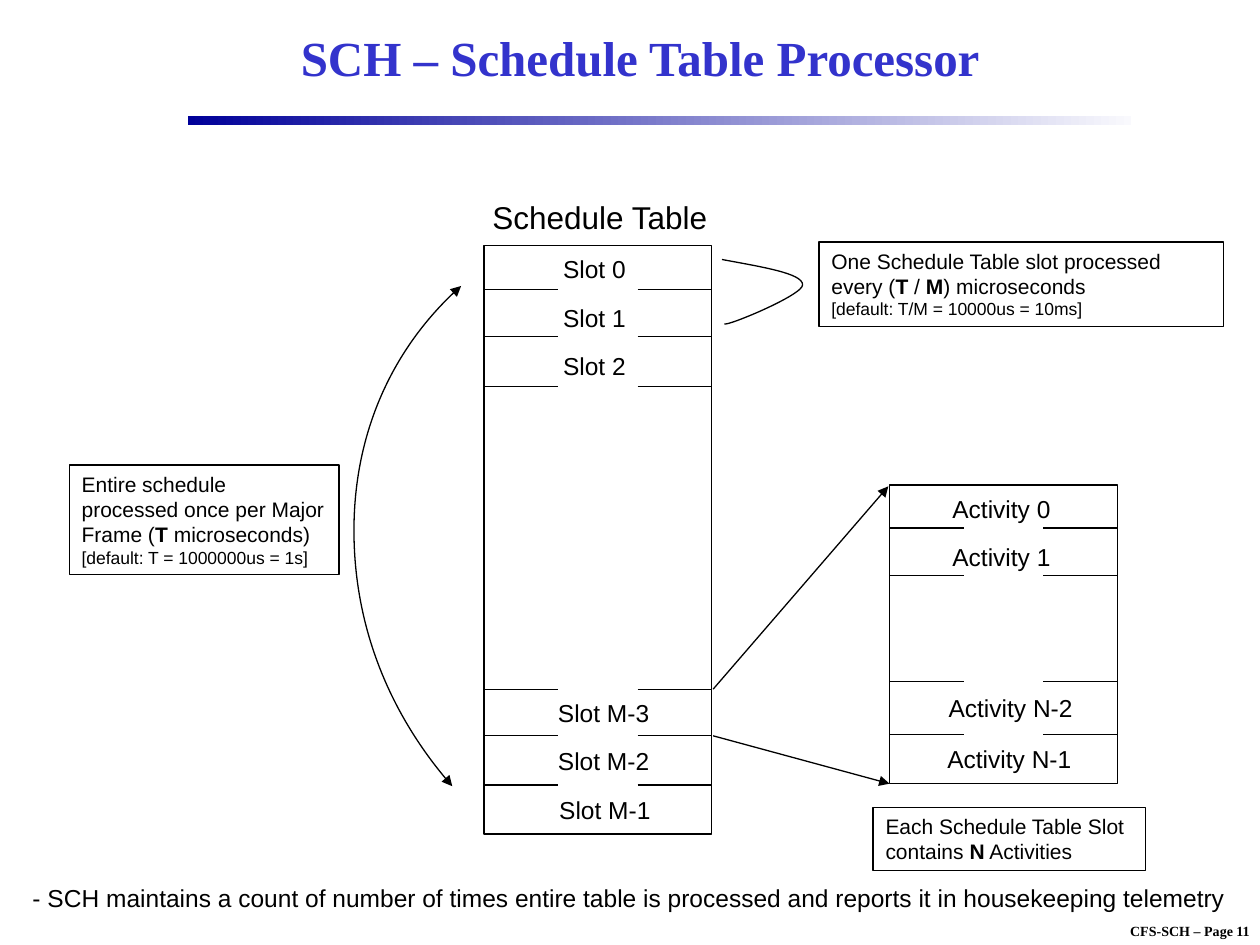
"""Build the SCH schedule table slide."""
from lxml import etree
from pptx import Presentation
from pptx.dml.color import RGBColor
from pptx.enum.shapes import MSO_CONNECTOR, MSO_SHAPE
from pptx.enum.text import MSO_ANCHOR, MSO_AUTO_SIZE, PP_ALIGN
from pptx.oxml.ns import qn
from pptx.util import Inches, Pt

RECTANGLE, STRAIGHT = MSO_SHAPE.RECTANGLE, MSO_CONNECTOR.STRAIGHT
TOP, MIDDLE = MSO_ANCHOR.TOP, MSO_ANCHOR.MIDDLE
LEFT, CENTER = PP_ALIGN.LEFT, PP_ALIGN.CENTER
GROW = MSO_AUTO_SIZE.SHAPE_TO_FIT_TEXT

BLACK, TITLE_BLUE = "000000", "3333CC"
RULE_COLOURS = "000099", "F9F9FD"
SANS, SERIF = "Arial", "Times New Roman"
TABLE_WIDTH, TICK, LABEL_HEIGHT = 1.81, 0.59, 0.34

TITLE = "SCH – Schedule Table Processor"
FOOTER = "CFS-SCH – Page 11"
HEADING = "Schedule Table"
SUMMARY = ("- SCH maintains a count of number of times entire table is processed "
           "and reports it in housekeeping telemetry")

TABLES = [
    {"left": 3.84, "top": 1.95, "height": 4.67,
     "dividers": [2.3, 2.67, 3.07, 5.47, 5.84, 6.23],
     "labels": [("Slot 0", 4.37, 1.97, 0.75), ("Slot 1", 4.37, 2.36, 0.75),
                ("Slot 2", 4.37, 2.74, 0.75), ("Slot M-3", 4.33, 5.49, 1),
                ("Slot M-2", 4.33, 5.87, 1), ("Slot M-1", 4.34, 6.26, 1)]},
    {"left": 7.06, "top": 3.85, "height": 2.37,
     "dividers": [4.19, 4.57, 5.41, 5.83],
     "labels": [("Activity 0", 7.46, 3.87, 1.05), ("Activity 1", 7.46, 4.25, 1.05),
                ("Activity N-2", 7.43, 5.45, 1.25), ("Activity N-1", 7.42, 5.86, 1.25)]},
]

NOTES = [
    ((0.55, 3.69, 2.14, 0.87), True,
     [(12, ["Entire schedule processed once per Major Frame (", "T", " microseconds)"]),
      (10, ["[default: T = 1000000us = 1s]"])]),
    ((6.5, 1.92, 3.21, 0.67), True,
     [(12, ["One Schedule Table slot processed every (", "T", " / ", "M", ") microseconds"]),
      (10, ["[default: T/M = 10000us = 10ms]"])]),
    ((6.93, 6.41, 2.16, 0.5), False,
     [(12, ["Each Schedule Table Slot"]), (12, ["contains ", "N", " Activities"])]),
]

FRAME_ARC = [(3.59, 6.24), (3.08, 5.66), (2.8, 4.92), (2.81, 4.17),
             (2.82, 3.43), (3.13, 2.74), (3.66, 2.27)]
SLOT_ARC = [(5.73, 2.06), (6.05, 2.12), (6.37, 2.17), (6.37, 2.26),
            (6.38, 2.34), (5.75, 2.6), (5.75, 2.57)]
SLOT_TO_ACTIVITIES = [((5.66, 5.47), (7.05, 3.86)), ((5.66, 5.84), (7.06, 6.22))]


def colour(value):
    return RGBColor.from_string(value)


def inches(*values):
    return [Inches(value) for value in values]


def outline(shape, arrows=()):
    shape.line.color.rgb = colour(BLACK)
    shape.line.width = Pt(0.75)
    for end in arrows:
        etree.SubElement(shape.line._get_or_add_ln(), qn(f"a:{end}"), type="triangle")


def add_line(shapes, start, end, arrows=()):
    line = shapes.add_connector(STRAIGHT, *inches(*start, *end))
    outline(line, arrows)
    etree.SubElement(line._element.spPr, qn("a:effectLst"))


def add_frame(shapes, *place):
    frame = shapes.add_shape(RECTANGLE, *inches(*place))
    frame.shadow.inherit = False
    frame.fill.background()
    outline(frame)
    return frame


def write(box, paragraphs, font=SANS, ink=BLACK, bold=False, align=LEFT, anchor=TOP, wrap=False):
    """Fill a box with (size, runs) paragraphs; every second run is bold."""
    text = box.text_frame
    text.word_wrap, text.auto_size, text.vertical_anchor = wrap, GROW, anchor
    for index, (size, runs) in enumerate(paragraphs):
        para = text.add_paragraph() if index else text.paragraphs[0]
        para.alignment = align
        para.font.name, para.font.size, para.font.bold = font, Pt(size), bold
        para.font.color.rgb = colour(ink)
        for position, words in enumerate(runs):
            span = para.add_run()
            span.text = words
            if position % 2:
                span.font.bold = True


def add_label(shapes, words, place, size, **style):
    write(shapes.add_textbox(*inches(*place)), [(size, [words])], **style)


def add_table_diagram(page, table):
    shapes = page.shapes.add_group_shape().shapes
    left, right = table["left"], table["left"] + TABLE_WIDTH
    add_frame(shapes, left, table["top"], TABLE_WIDTH, table["height"])
    for y in table["dividers"]:
        add_line(shapes, (left, y), (left + TICK, y))
        add_line(shapes, (right - TICK, y), (right, y))
    for words, x, y, width in table["labels"]:
        add_label(shapes, words, (x, y, width, LABEL_HEIGHT), 14, wrap=True)


def add_curve(page, points, arrows=()):
    """Draw a Bezier path whose control points come in threes after the start."""
    start, *controls = [inches(*point) for point in points]
    builder = page.shapes.build_freeform(*start)
    builder.add_line_segments(controls, close=False)
    curve = builder.convert_to_shape()
    segments = list(curve._element.iter(qn("a:lnTo")))
    for first in range(0, len(segments), 3):
        bezier = etree.SubElement(segments[first].getparent(), qn("a:cubicBezTo"))
        for segment in segments[first:first + 3]:
            bezier.append(segment[0])
            segment.getparent().remove(segment)
    curve.shadow.inherit = False
    curve.fill.background()
    outline(curve, arrows)


def add_rule(page):
    rule = page.shapes.add_shape(RECTANGLE, *inches(1.49, 0.92, 7.49, 0.07))
    rule.shadow.inherit = False
    rule.line.fill.background()
    rule.fill.gradient()
    rule.fill.gradient_angle = 0
    for position, (stop, value) in enumerate(zip(rule.fill.gradient_stops, RULE_COLOURS)):
        stop.position = position
        stop.color.rgb = colour(value)


def main():
    deck = Presentation()
    deck.slide_width, deck.slide_height = inches(10, 7.5)
    page = deck.slides.add_slide(deck.slide_layouts[6])
    shapes = page.shapes
    add_label(shapes, FOOTER, (8.67, 7.27, 1.55, 0.23), 8, font=SERIF, bold=True, align=CENTER)
    add_rule(page)
    add_label(shapes, TITLE, (1.54, 0.08, 7.08, 0.75), 28, font=SERIF, ink=TITLE_BLUE,
              bold=True, align=CENTER, anchor=MIDDLE, wrap=True)
    add_label(shapes, HEADING, (3.81, 1.52, 1.94, 0.4), 18)
    for table in TABLES:
        add_table_diagram(page, table)
    for place, wrap, paragraphs in NOTES:
        write(add_frame(shapes, *place), paragraphs, wrap=wrap)
    add_curve(page, FRAME_ARC, ("headEnd", "tailEnd"))
    add_curve(page, SLOT_ARC)
    for start, end in SLOT_TO_ACTIVITIES:
        add_line(shapes, start, end, ("tailEnd",))
    add_label(shapes, SUMMARY, (0.16, 6.96, 9.67, LABEL_HEIGHT), 14)
    deck.save("out.pptx")


if __name__ == "__main__":
    main()
